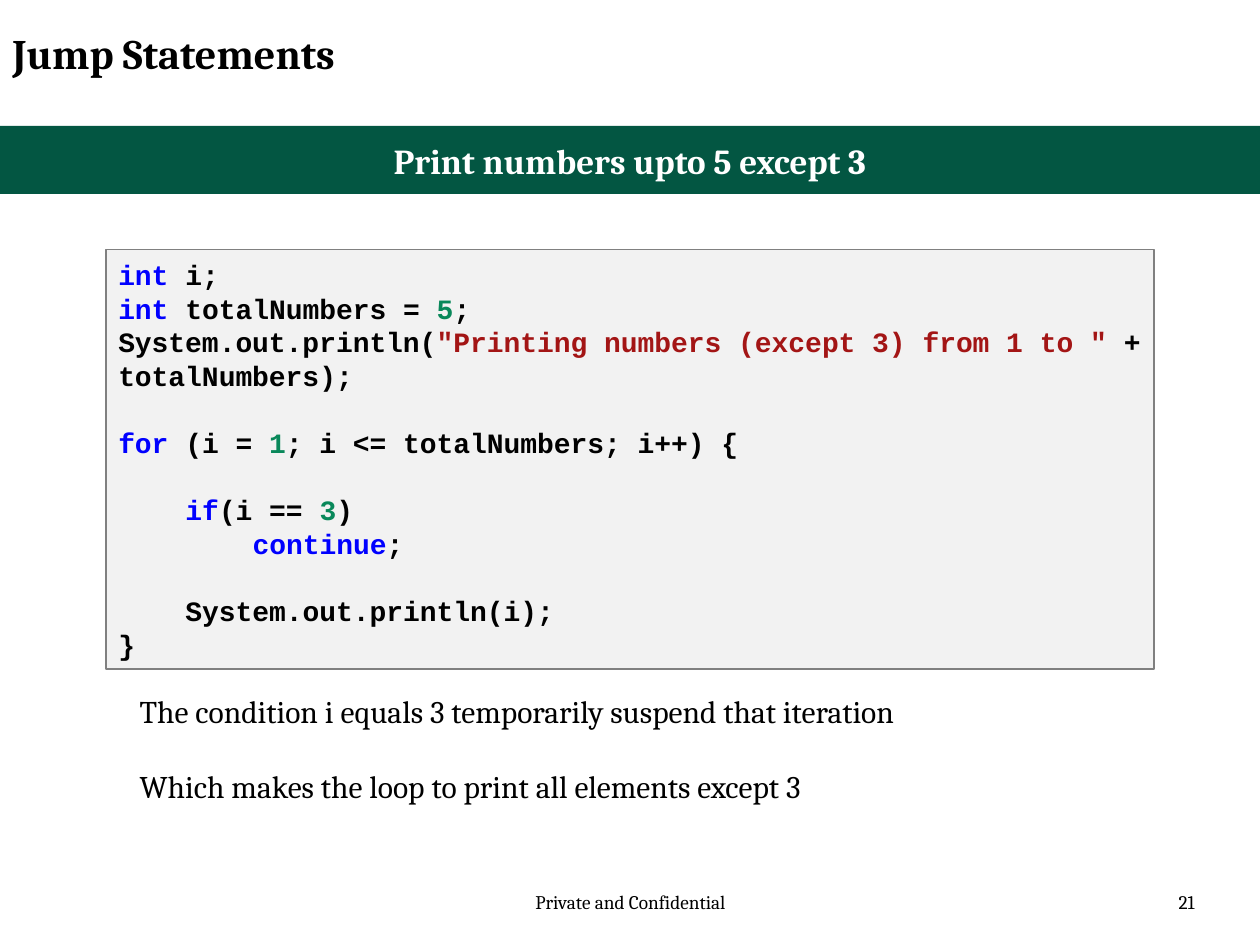
from pptx import Presentation
from pptx.dml.color import RGBColor
from pptx.enum.shapes import MSO_SHAPE
from pptx.enum.text import MSO_ANCHOR, PP_ALIGN
from pptx.util import Inches, Pt

RECTANGLE = MSO_SHAPE.RECTANGLE
TOP, MIDDLE = MSO_ANCHOR.TOP, MSO_ANCHOR.MIDDLE
LEFT, CENTER, RIGHT = PP_ALIGN.LEFT, PP_ALIGN.CENTER, PP_ALIGN.RIGHT

# Content
TITLE = "Jump Statements"
BANNER = "Print numbers upto 5 except 3"
NOTES = [
    "The condition i equals 3 temporarily suspend that iteration",
    "Which makes the loop to print all elements except 3",
]
FOOTER = "Private and Confidential"
PAGE_NUMBER = "21"

# Code lines: indent level, blank line before, (text, kind) runs
CODE = [
    (0, False, [("int", "keyword"), (" i;", "plain")]),
    (0, False, [("int", "keyword"), (" totalNumbers = ", "plain"),
                ("5", "number"), (";", "plain")]),
    (0, False, [("System.out.println(", "plain"),
                ('"Printing numbers (except 3) from 1 to "', "string"),
                (" + totalNumbers);", "plain")]),
    (0, True, [("for", "keyword"), (" (i = ", "plain"), ("1", "number"),
               ("; i <= totalNumbers; i++) {", "plain")]),
    (1, True, [("if", "keyword"), ("(i == ", "plain"),
               ("3", "number"), (")", "plain")]),
    (2, False, [("continue", "keyword"), (";", "plain")]),
    (1, True, [("System.out.println(i);", "plain")]),
    (0, False, [("}", "plain")]),
]

THEME = {
    "text_font": "Cambria", "code_font": "Courier New",
    "title": 24, "banner": 20, "notes": 18, "code": 16, "footer": 11,
    "code_line": 19.2, "notes_gap": 21.5,
    "black": "000000", "white": "FFFFFF", "green": "035642",
    "panel": "F2F2F2", "border": "808080",
    "plain": "000000", "keyword": "0000FF",
    "number": "09885A", "string": "A31515",
}


def color(name):
    return RGBColor.from_string(THEME[name])


def set_font(paragraph, size, ink="black", bold=False, face="text_font"):
    font = paragraph.font
    font.name, font.size, font.bold = THEME[face], Pt(THEME[size]), bold
    font.color.rgb = color(ink)


def write(shape, lines, size, align=LEFT, anchor=TOP, ink="black",
          bold=False, gap=0):
    frame = shape.text_frame
    frame.word_wrap, frame.vertical_anchor = True, anchor
    for index, line in enumerate(lines):
        paragraph = frame.add_paragraph() if index else frame.paragraphs[0]
        paragraph.text, paragraph.alignment = line, align
        paragraph.space_before = Pt(gap if index else 0)
        set_font(paragraph, size, ink, bold)


def add_text(slide, box, lines, size, **options):
    shape = slide.shapes.add_textbox(*map(Inches, box))
    write(shape, lines, size, **options)


def add_panel(slide, box, fill, border=None):
    shape = slide.shapes.add_shape(RECTANGLE, *map(Inches, box))
    shape.shadow.inherit = False
    shape.fill.solid()
    shape.fill.fore_color.rgb = color(fill)
    if border:
        shape.line.color.rgb = color(border)
        shape.line.width = Pt(0.75)
    else:
        shape.line.fill.background()
    return shape


def write_code(shape):
    frame = shape.text_frame
    frame.word_wrap, frame.vertical_anchor = True, MIDDLE
    line_height = Pt(THEME["code_line"])
    level_indent = Pt(4 * 0.6 * THEME["code"])  # four monospaced characters
    for index, (level, blank_before, runs) in enumerate(CODE):
        paragraph = frame.add_paragraph() if index else frame.paragraphs[0]
        paragraph.alignment = LEFT
        paragraph.line_spacing = line_height
        paragraph.space_before = line_height if blank_before else Pt(0)
        paragraph._p.get_or_add_pPr().set("marL", str(level * level_indent))
        set_font(paragraph, "code", bold=True, face="code_font")
        for text, kind in runs:
            run = paragraph.add_run()
            run.text = text
            run.font.color.rgb = color(kind)


def main():
    presentation = Presentation()
    presentation.slide_width, presentation.slide_height = Inches(10), Inches(7.5)
    slide = presentation.slides.add_slide(presentation.slide_layouts[6])

    # Heading and banner
    add_text(slide, (0, 0.17, 7.58, 0.62), [TITLE], "title", bold=True)
    banner = add_panel(slide, (0, 1, 10, 0.54), "green")
    write(banner, [BANNER], "banner", align=CENTER, anchor=MIDDLE,
          ink="white", bold=True)

    # Code and explanation
    write_code(add_panel(slide, (0.84, 1.98, 8.32, 3.33), "panel", "border"))
    add_text(slide, (1.01, 5.44, 7.58, 1.01), NOTES, "notes",
             gap=THEME["notes_gap"])

    # Footer
    add_text(slide, (3.42, 7.02, 3.17, 0.4), [FOOTER], "footer", align=CENTER)
    add_text(slide, (7.25, 7.02, 2.33, 0.4), [PAGE_NUMBER], "footer", align=RIGHT)

    presentation.save("out.pptx")


if __name__ == "__main__":
    main()
